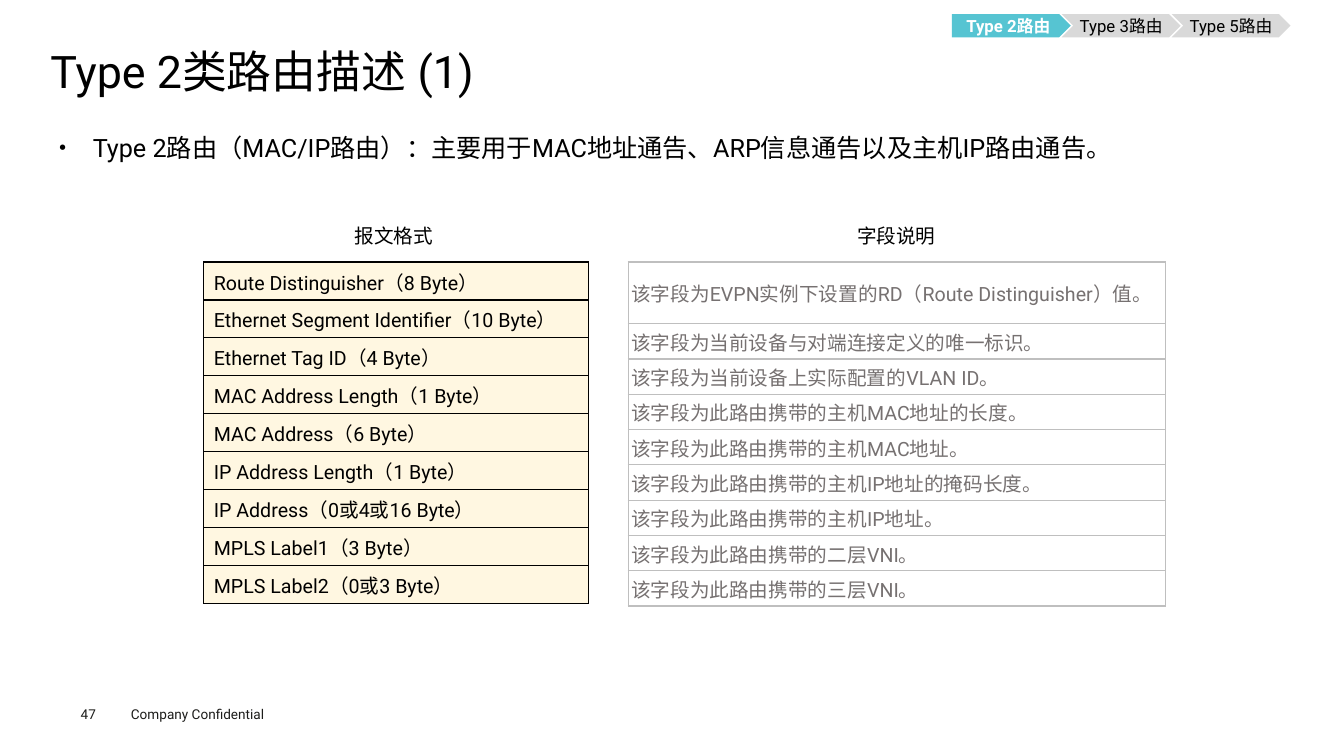
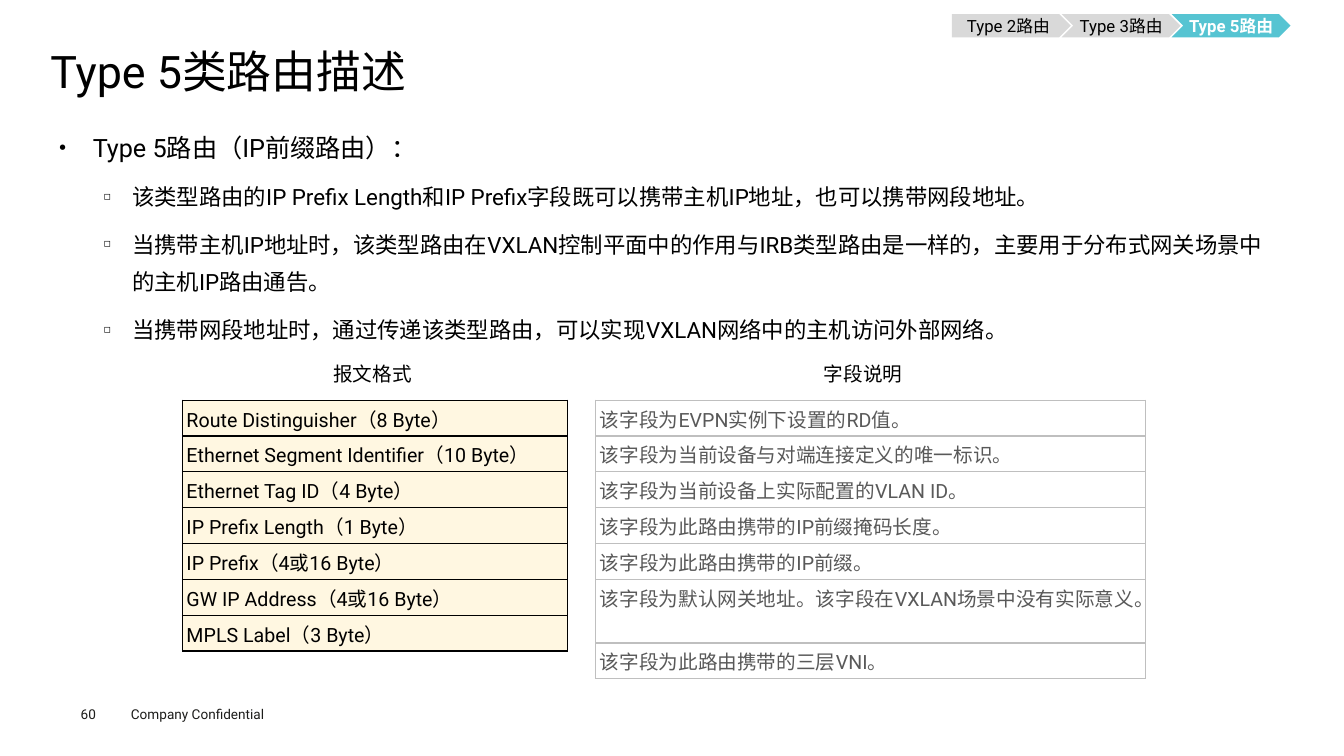
from dataclasses import dataclass

from lxml import etree
from pptx import Presentation
from pptx.dml.color import RGBColor
from pptx.enum.shapes import MSO_SHAPE
from pptx.enum.text import MSO_ANCHOR, MSO_AUTO_SIZE, PP_ALIGN
from pptx.oxml.ns import qn
from pptx.util import Emu, Pt

PLATE, CHEVRON = MSO_SHAPE.PENTAGON, MSO_SHAPE.CHEVRON
LEFT, CENTER, JUSTIFY = PP_ALIGN.LEFT, PP_ALIGN.CENTER, PP_ALIGN.JUSTIFY
TOP, MIDDLE = MSO_ANCHOR.TOP, MSO_ANCHOR.MIDDLE
FIXED = MSO_AUTO_SIZE.NONE

FONT = "Roboto"
SCALE = 9144  # EMU per px, 100 px to the inch
COLORS = {
    "text": "000000", "foot": "1D1D1B", "white": "FFFFFF",
    "active": "56C4D2", "idle": "D9D9D9", "cream": "FFF7E1",
    "rule": "BFBFBF", "gray": "767171", "dark": "595959",
}
TABS = ("Type 2路由", "Type 3路由", "Type 5路由")
FOOTER = "Company Confidential"


@dataclass
class Item:
    text: str
    level: int = 0


@dataclass
class Grid:
    label: str
    rows: list[str]
    left: int
    top: int
    width: int
    color: str
    rule: str
    fill: str | None = None
    pad: tuple[int, int] = (4, 4)
    anchor: MSO_ANCHOR = TOP
    shift: int = 0  # offset of the label from the table's middle


@dataclass
class Page:
    number: int
    title: str
    tab: int
    height: int
    items: list[Item]
    grids: list[Grid]


def px(n: int) -> Emu:
    return Emu(n * SCALE)


def rgb(name: str) -> RGBColor:
    return RGBColor.from_string(COLORS[name])


def write(para, text: str, *, size: float = 14, color: str = "text",
          bold: bool = False, align: PP_ALIGN = LEFT,
          line: float | None = None, before: float = 0) -> None:
    """Put one formatted run into a paragraph."""
    para.alignment = align
    para.space_before = Pt(before)
    if line:
        para.line_spacing = line
    run = para.add_run()
    run.text = text
    font = run.font
    font.name, font.size, font.bold = FONT, Pt(size), bold
    font.color.rgb = rgb(color)
    east = etree.SubElement(run._r.get_or_add_rPr(), qn("a:ea"))
    east.set("typeface", FONT)


def frame(shape, pad: tuple[int, int] = (0, 0), wrap: bool = True,
          anchor: MSO_ANCHOR = TOP):
    """Set up a shape's text frame and return it."""
    box = shape.text_frame
    box.auto_size, box.word_wrap, box.vertical_anchor = FIXED, wrap, anchor
    box.margin_left = box.margin_right = px(pad[0])
    box.margin_top = box.margin_bottom = px(pad[1])
    return box


def place(shape, left: int, top: int, width: int, height: int) -> None:
    shape.left, shape.top = px(left), px(top)
    shape.width, shape.height = px(width), px(height)


def label(slide, text: str, left: int, top: int, width: int, height: int,
          pad: tuple[int, int] = (10, 5), **form) -> None:
    shape = slide.shapes.add_textbox(px(left), px(top), px(width), px(height))
    write(frame(shape, pad, wrap=False).paragraphs[0], text, **form)


def bullet(para, char: str, left: int, hang: int, size: int) -> None:
    props = para._p.get_or_add_pPr()
    props.set("marL", str(px(left)))
    props.set("indent", str(-px(hang)))
    etree.SubElement(props, qn("a:buSzPct")).set("val", str(size * 1000))
    etree.SubElement(props, qn("a:buFont")).set("typeface", FONT)
    etree.SubElement(props, qn("a:buChar")).set("char", char)


def border(cell, color: str) -> None:
    props = cell._tc.get_or_add_tcPr()
    for i, side in enumerate("LRTB"):
        edge = etree.Element(qn(f"a:ln{side}"), w=str(Pt(1)))
        fill = etree.SubElement(edge, qn("a:solidFill"))
        etree.SubElement(fill, qn("a:srgbClr")).set("val", COLORS[color])
        props.insert(i, edge)


def draw_grid(slide, grid: Grid) -> None:
    count = len(grid.rows)
    table = slide.shapes.add_table(count, 1, px(grid.left), px(grid.top),
                                   px(grid.width), px(35 * count)).table
    table.first_row = table.horz_banding = False
    for i, text in enumerate(grid.rows):
        cell = table.cell(i, 0)
        # The wider right margin keeps closing marks off the border
        cell.margin_left, cell.margin_right = px(grid.pad[0]), px(10)
        cell.margin_top = cell.margin_bottom = px(grid.pad[1])
        cell.vertical_anchor = grid.anchor
        if grid.fill:
            cell.fill.solid()
            cell.fill.fore_color.rgb = rgb(grid.fill)
        else:
            cell.fill.background()
        border(cell, grid.rule)
        write(cell.text_frame.paragraphs[0], text, color=grid.color, line=1.2)
    mid = grid.left + grid.width // 2 + grid.shift
    label(slide, grid.label, mid - 52, grid.top - 43, 104, 34, align=CENTER)


def draw_tabs(slide, active: int) -> None:
    for i, text in enumerate(TABS):
        on = i == active
        shape = slide.shapes.add_shape(CHEVRON if i else PLATE,
                                       px(944 + 109 * i), px(14), px(118), px(23))
        shape.shadow.inherit = False
        shape.fill.solid()
        shape.fill.fore_color.rgb = rgb("active" if on else "idle")
        shape.line.fill.background()
        write(frame(shape, anchor=MIDDLE).paragraphs[0], text, size=12,
              bold=on, color="white" if on else "text", align=CENTER)


def draw_body(shape, items: list[Item], height: int) -> None:
    place(shape, 50, 115, 1231, height)
    box = frame(shape, (9, 4))
    for i, item in enumerate(items):
        para = box.add_paragraph() if i else box.paragraphs[0]
        para.level = item.level
        if item.level:
            bullet(para, "◻", 72, 28, 50)
            write(para, item.text, size=16, line=1.4, before=7.2)
        else:
            bullet(para, "●", 33, 33, 28)
            write(para, item.text, size=18, line=1.4, align=JUSTIFY)


def draw_page(deck, page: Page) -> None:
    slide = deck.slides.add_slide(deck.slide_layouts[1])
    # Footer
    label(slide, FOOTER, 120, 695, 160, 27, size=9.7, color="foot")
    label(slide, str(page.number), 80, 700, 55, 16, pad=(0, 0),
          size=9.7, color="foot")
    # Title and list
    title = slide.shapes.title
    place(title, 50, 47, 1231, 53)
    write(frame(title, anchor=MIDDLE).paragraphs[0], page.title, size=32, line=0.9)
    draw_body(slide.placeholders[1], page.items, page.height)
    # Tables and route tabs
    for grid in page.grids:
        draw_grid(slide, grid)
    draw_tabs(slide, page.tab)


PAGES = [
    Page(47, "Type 2类路由描述 (1)", 0, 51, [
        Item("Type 2路由（MAC/IP路由）：主要用于MAC地址通告、ARP信息通告以及主机IP路由通告。"),
    ], [
        Grid("报文格式 ", [
            "Route Distinguisher（8 Byte）",
            "Ethernet Segment Identifier（10 Byte）",
            "Ethernet Tag ID（4 Byte）",
            "MAC Address Length（1 Byte）",
            "MAC Address（6 Byte）",
            "IP Address Length（1 Byte）",
            "IP Address（0或4或16 Byte）",
            "MPLS Label1（3 Byte）",
            "MPLS Label2（0或3 Byte）",
        ], 202, 260, 382, "text", "text", "cream", pad=(10, 5)),
        Grid("字段说明", [
            "该字段为EVPN实例下设置的RD（Route Distinguisher）值。",
            "该字段为当前设备与对端连接定义的唯一标识。",
            "该字段为当前设备上实际配置的VLAN ID。",
            "该字段为此路由携带的主机MAC地址的长度。",
            "该字段为此路由携带的主机MAC地址。",
            "该字段为此路由携带的主机IP地址的掩码长度。",
            "该字段为此路由携带的主机IP地址。",
            "该字段为此路由携带的二层VNI。",
            "该字段为此路由携带的三层VNI。",
        ], 623, 260, 533, "gray", "rule", pad=(3, 3), anchor=MIDDLE),
    ]),
    Page(60, "Type 5类路由描述", 2, 226, [
        Item("Type 5路由（IP前缀路由）："),
        Item("该类型路由的IP Prefix Length和IP Prefix字段既可以携带主机IP地址，也可以携带网段地址。", 1),
        Item("当携带主机IP地址时，该类型路由在VXLAN控制平面中的作用与IRB类型路由是一样的，"
             "主要用于分布式网关场景中的主机IP路由通告。", 1),
        Item("当携带网段地址时，通过传递该类型路由，可以实现VXLAN网络中的主机访问外部网络。", 1),
    ], [
        Grid("报文格式 ", [
            "Route Distinguisher（8 Byte）",
            "Ethernet Segment Identifier（10 Byte）",
            "Ethernet Tag ID（4 Byte）",
            "IP Prefix Length（1 Byte）",
            "IP Prefix（4或16 Byte）",
            "GW IP Address（4或16 Byte）",
            "MPLS Label（3 Byte）",
        ], 181, 397, 382, "text", "text", "cream"),
        Grid("字段说明", [
            "该字段为EVPN实例下设置的RD值。",
            "该字段为当前设备与对端连接定义的唯一标识。",
            "该字段为当前设备上实际配置的VLAN ID。",
            "该字段为此路由携带的IP前缀掩码长度。",
            "该字段为此路由携带的IP前缀。",
            "该字段为默认网关地址。该字段在VXLAN场景中没有实际意义。",
            "该字段为此路由携带的三层VNI。",
        ], 591, 397, 545, "dark", "rule", shift=-7),
    ]),
]


def main() -> None:
    deck = Presentation()
    deck.slide_width, deck.slide_height = px(1333), px(750)
    for page in PAGES:
        draw_page(deck, page)
    deck.save("out.pptx")


if __name__ == "__main__":
    main()
